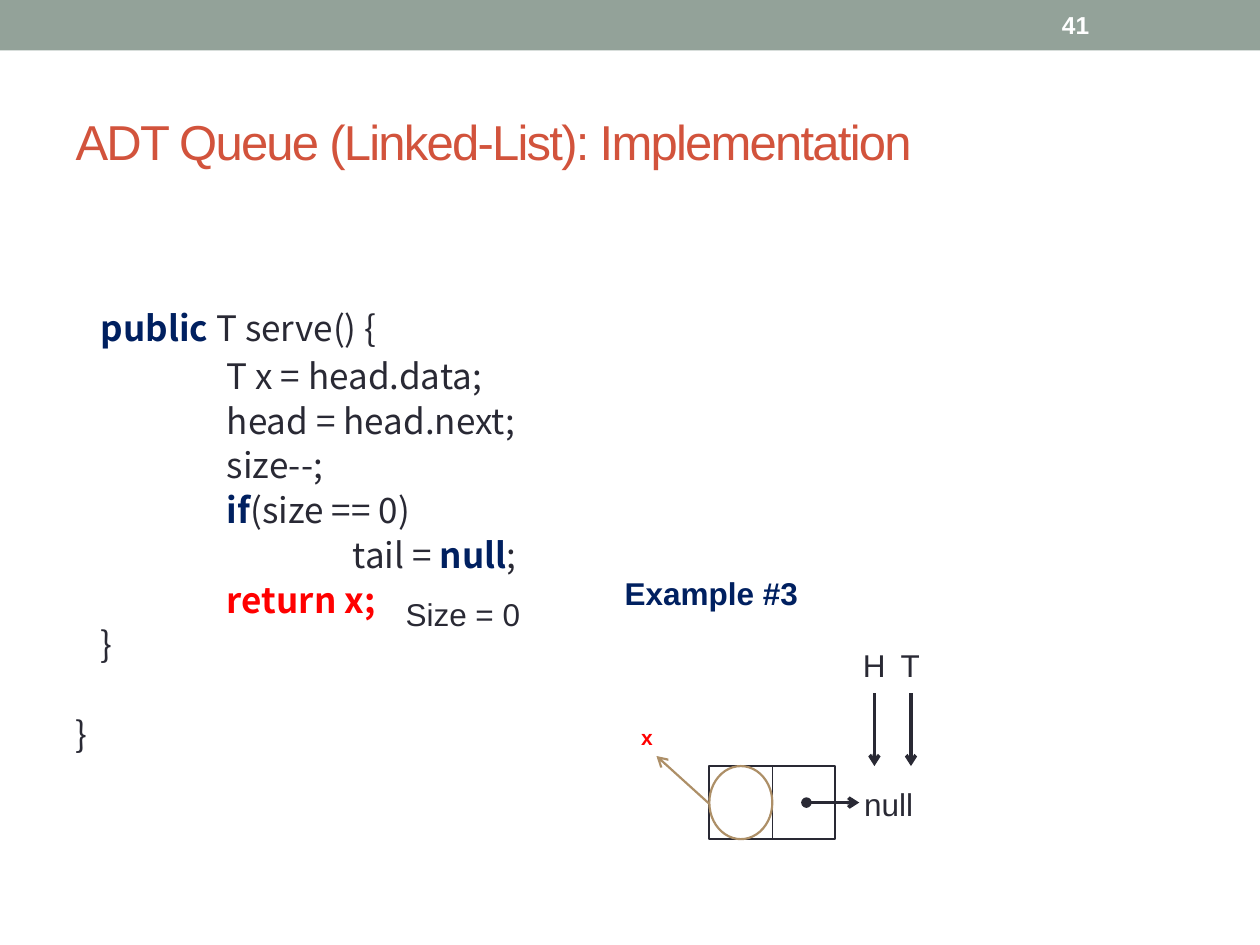
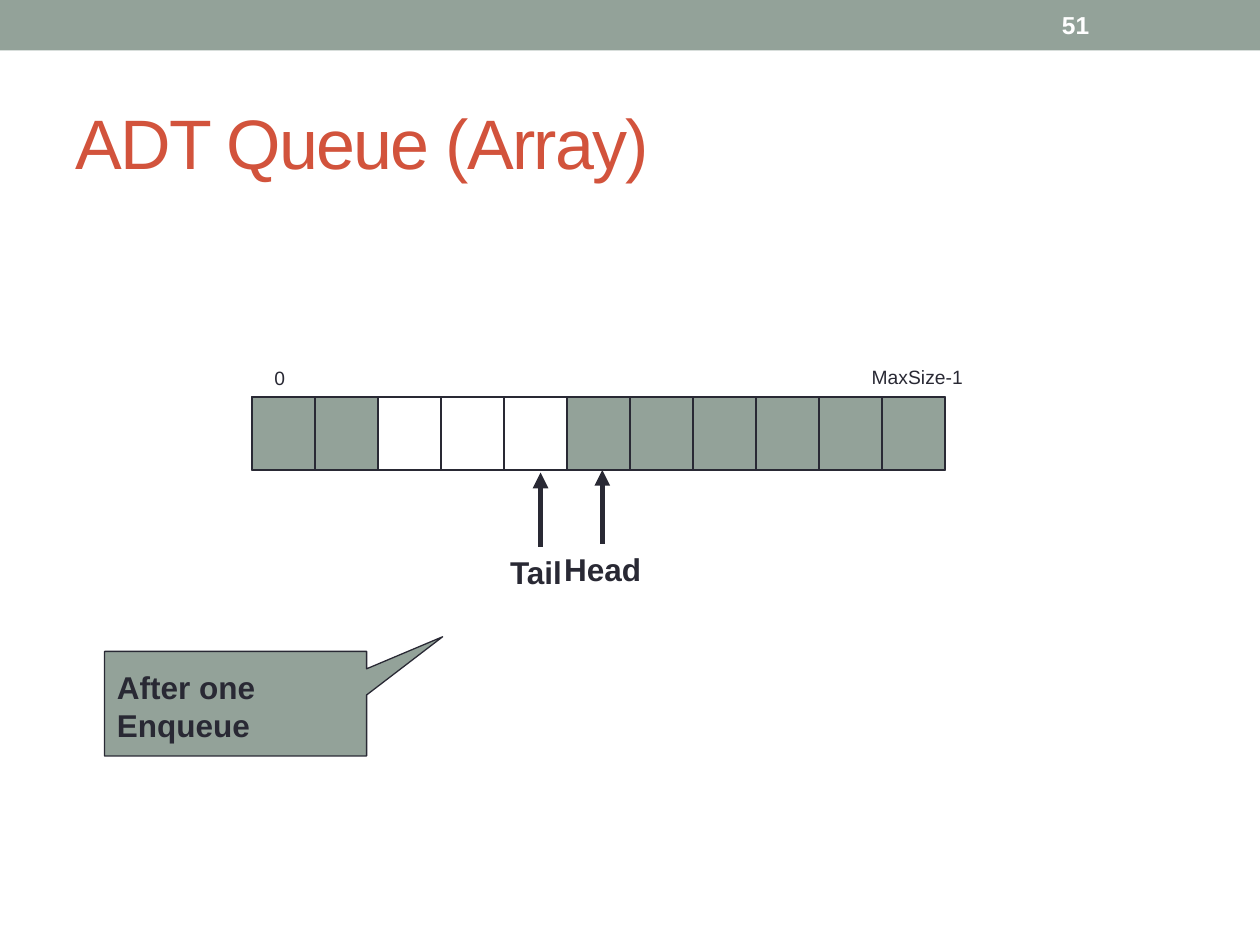
from lxml import etree
from pptx import Presentation
from pptx import util as u
from pptx.dml.color import RGBColor
from pptx.enum import shapes, text
from pptx.oxml import ns

# Shared colours and fonts
SAGE = RGBColor(0x93, 0xA2, 0x99)
RUST = RGBColor(0xD2, 0x53, 0x3C)
INK = RGBColor(0x29, 0x29, 0x34)
NAVY = RGBColor(0x00, 0x20, 0x60)
RED = RGBColor(0xFF, 0x00, 0x00)
TAN = RGBColor(0xAD, 0x8F, 0x67)
WHITE = RGBColor(0xFF, 0xFF, 0xFF)
SANS = "Arial"
MONO = "Noto Sans CJK SC"

# Code formats
PLAIN = dict(color=INK, bold=False)
WORD = dict(color=NAVY, bold=True)
HOT = dict(color=RED, bold=True)

# Each code line: left margin, space before, runs
CODE = [
    (0.2, 0, [("public", WORD), (" T serve() {", PLAIN)]),
    (1.2, 1.7, [("T x = head.data;", PLAIN)]),
    (1.2, 0, [("head = head.next;", PLAIN)]),
    (1.2, 0, [("size--;", PLAIN)]),
    (1.2, 0, [("if", WORD), ("(size == 0)", PLAIN)]),
    (2.2, 0, [("tail = ", PLAIN), ("null", WORD), (";", PLAIN)]),
    (1.2, 0, [("return x;", HOT)]),
    (0.2, 0, [("}", PLAIN)]),
    (0, 25.6, [("}", PLAIN)]),
]


def inches(vals):
    return [u.Inches(v) for v in vals]


def place(shape, box):
    for key, val in zip(("left", "top", "width", "height"), inches(box)):
        setattr(shape, key, val)


def style(run, color=INK, **form):
    """Set font values on a run."""
    for key, val in form.items():
        setattr(run.font, key, val)
    run.font.color.rgb = color


def add_run(para, words, **form):
    run = para.add_run()
    run.text = words
    style(run, **form)
    return run


def label(slide, words, box, size=18, wrap=False,
          anchor=text.MSO_ANCHOR.TOP, **form):
    frame = slide.shapes.add_textbox(*inches(box)).text_frame
    frame.word_wrap = wrap
    frame.vertical_anchor = anchor
    add_run(frame.paragraphs[0], words, size=u.Pt(size), name=SANS, **form)


def block(slide, kind, box, fill=None, line=None, width=0.75):
    shape = slide.shapes.add_shape(kind, *inches(box))
    shape.shadow.inherit = False
    if fill is None:
        shape.fill.background()
    else:
        shape.fill.solid()
        shape.fill.fore_color.rgb = fill
    if line is None:
        shape.line.fill.background()
    else:
        shape.line.color.rgb = line
        shape.line.width = u.Pt(width)
    return shape


def arrow(slide, start, end, color=INK, width=2, **ends):
    """Draw a line; ends may hold headEnd and tailEnd, in that order."""
    line = slide.shapes.add_connector(
        shapes.MSO_CONNECTOR.STRAIGHT, *inches(start + end))
    line.line.color.rgb = color
    line.line.width = u.Pt(width)
    edge = line.line._get_or_add_ln()
    for tag, kind in ends.items():
        etree.SubElement(edge, ns.qn("a:" + tag), type=kind)
    etree.SubElement(line._element.spPr, ns.qn("a:effectLst"))


def add_slide(deck, layout, title, size, page):
    """Add a slide with its band, title and page number."""
    slide = deck.slides.add_slide(deck.slide_layouts[layout])
    block(slide, shapes.MSO_SHAPE.RECTANGLE, (0, 0, 10, 0.4), SAGE)
    head = slide.shapes.title
    place(head, (0.5, 0.58, 9, 1.08))
    frame = head.text_frame
    frame.auto_size = text.MSO_AUTO_SIZE.NONE
    frame.vertical_anchor = text.MSO_ANCHOR.MIDDLE
    para = frame.paragraphs[0]
    para.alignment = text.PP_ALIGN.LEFT
    run = add_run(para, title, size=u.Pt(size), name=SANS, color=RUST)
    run._r.get_or_add_rPr().set("spc", "-100")
    label(slide, page, (8.33, 0.02, 1.17, 0.36), 14, True,
          text.MSO_ANCHOR.MIDDLE, color=WHITE, bold=True)
    return slide


def add_code(slide):
    body = slide.placeholders[1]
    place(body, (0.5, 2.36, 9, 4.72))
    frame = body.text_frame
    frame.auto_size = text.MSO_AUTO_SIZE.NONE
    for num, (left, gap, runs) in enumerate(CODE):
        para = frame.add_paragraph() if num else frame.paragraphs[0]
        props = para._p.get_or_add_pPr()
        props.set("marL", str(u.Inches(left)))
        props.set("indent", "0")
        etree.SubElement(props, ns.qn("a:buNone"))
        para.line_spacing = u.Pt(25.6)
        para.space_before = u.Pt(gap)
        for words, form in runs:
            add_run(para, words, size=u.Pt(20), name=MONO, **form)


def add_node(slide):
    """Draw the served node with its pointers."""
    left, top, high = 5.63, 6.08, 0.58
    block(slide, shapes.MSO_SHAPE.RECTANGLE, (left, top, 1, high),
          WHITE, INK, 1.25)
    arrow(slide, (left + 0.5, top), (left + 0.5, top + high), width=0.75)
    for name, mid, edge, wide in (("H", 6.94, 6.75, 0.39),
                                  ("T", 7.23, 7.05, 0.36)):
        arrow(slide, (mid, 5.5), (mid, top), tailEnd="arrow")
        label(slide, name, (edge, 5.08, wide, 0.4))
    label(slide, "Size = 0", (3.12, 4.67, 1.22, 0.4))
    label(slide, "null", (6.76, 6.18, 0.66, 0.4))
    arrow(slide, (6.4, 6.37), (6.82, 6.37), headEnd="oval", tailEnd="arrow")
    block(slide, shapes.MSO_SHAPE.OVAL, (left, top, 0.5, high),
          line=TAN, width=1.25)
    arrow(slide, (left, 6.38), (5.21, 6), TAN, 1.25, tailEnd="arrow")
    label(slide, "x", (4.99, 5.7, 0.31, 0.3), 12, **HOT)
    label(slide, "Example #3", (4.86, 4.51, 1.64, 0.4), **WORD)


def add_array(slide):
    """Draw the cells, their end labels and the two markers."""
    left, top, wide, high, count = 2, 3.15, 0.5, 0.58, 11
    free = (2, 3, 4)
    rect = shapes.MSO_SHAPE.RECTANGLE
    block(slide, rect, (left, top, wide * count, high), line=INK)
    for num in range(count):
        block(slide, rect, (left + num * wide, top, wide, high),
              None if num in free else SAGE, INK)
    for name, mid, tip, edge, span in (("Head", 4.78, 3.73, 4.38, 0.83),
                                       ("Tail", 4.29, 3.75, 3.95, 0.68)):
        base = tip + 0.59
        arrow(slide, (mid, tip), (mid, base), width=3, headEnd="triangle")
        label(slide, name, (edge, base, span, 0.43), bold=True)
    label(slide, "MaxSize-1", (6.82, 2.85, 1, 0.29), 11)
    label(slide, "0", (2.08, 2.86, 0.3, 0.29), 11)


def add_note(slide):
    note = block(slide, shapes.MSO_SHAPE.RECTANGULAR_CALLOUT,
                 (0.83, 5.17, 2.08, 0.83), SAGE, INK)
    note.adjustments[0] = 0.79
    note.adjustments[1] = -0.64
    label(slide, "After one Enqueue", (0.83, 5.25, 1.93, 0.71),
          wrap=True, bold=True)


def main():
    deck = Presentation()
    deck.slide_width, deck.slide_height = inches((10, 7.5))

    # Linked list
    slide = add_slide(deck, 1, "ADT Queue (Linked-List): Implementation",
                      28, "41")
    add_code(slide)
    add_node(slide)

    # Array
    slide = add_slide(deck, 5, "ADT Queue (Array)", 40, "51")
    add_array(slide)
    add_note(slide)

    deck.save("out.pptx")


if __name__ == "__main__":
    main()
